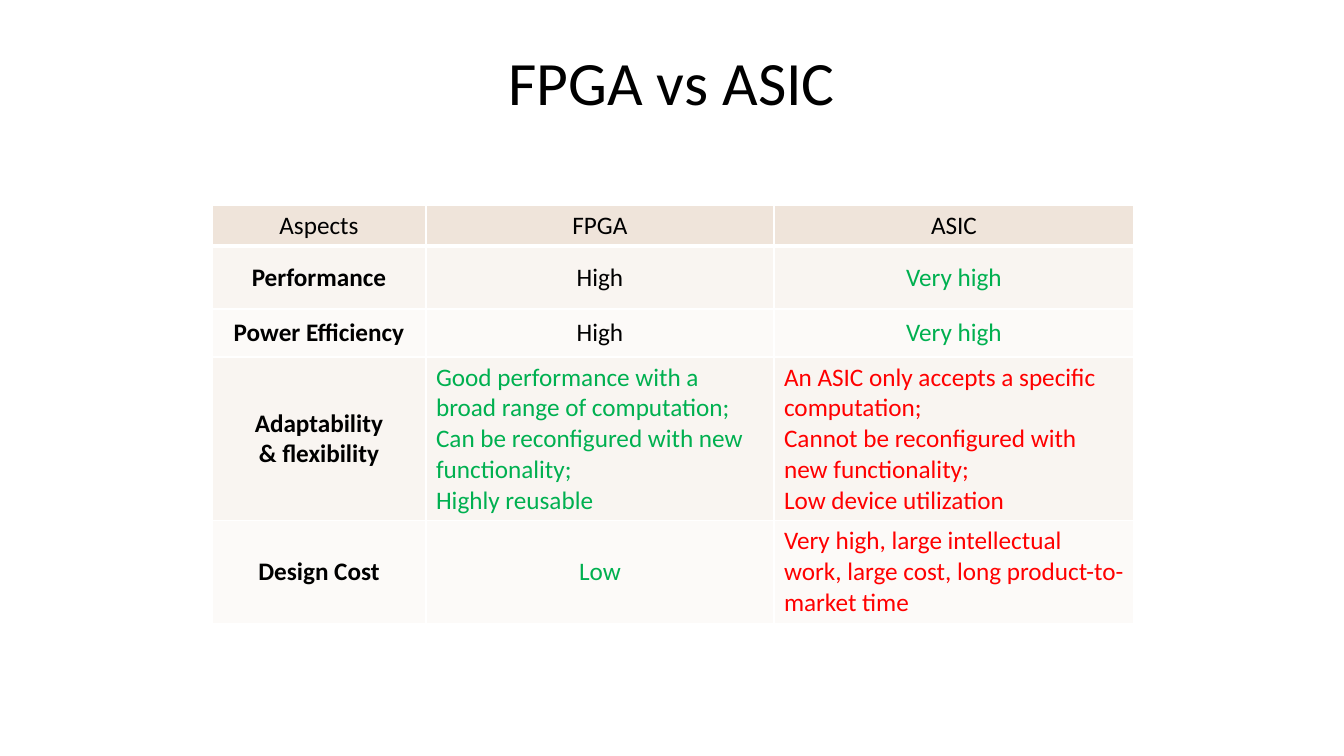
from pptx import Presentation
from pptx.dml.color import RGBColor
from pptx.enum.text import MSO_ANCHOR, PP_ALIGN
from pptx.oxml import parse_xml
from pptx.oxml.ns import nsdecls
from pptx.util import Emu, Pt

PX = 914400 / 100.8
FONT = "Calibri"
COLORS = {
    "black": "000000",
    "white": "FFFFFF",
    "green": "00B050",
    "red": "FF0000",
    "header": "EFE4DA",
    "odd": "F9F5F1",
    "even": "FCFAF8",
}


def px(length):
    return Emu(round(length * PX))


def add_span(para, text, size, color, bold=False):
    span = para.add_run()
    span.text = text
    span.font.name = FONT
    span.font.size = Pt(size)
    span.font.bold = bold
    span.font.color.rgb = RGBColor.from_string(COLORS[color])


deck = Presentation()
deck.slide_width, deck.slide_height = px(1344), px(756)
page = deck.slides.add_slide(deck.slide_layouts[5])

# Title
title = page.shapes.title
title.left, title.top, title.width, title.height = px(67), px(30), px(1210), px(102)
title.text_frame.vertical_anchor = MSO_ANCHOR.MIDDLE
title_para = title.text_frame.paragraphs[0]
title_para.alignment = PP_ALIGN.CENTER
add_span(title_para, "FPGA vs ASIC", 44, "black")

# Comparison content: (color, paragraphs) for each cell
rows = [
    [("black", ["Aspects"]), ("black", ["FPGA"]), ("black", ["ASIC"])],
    [("black", ["Performance"]), ("black", ["High"]), ("green", ["Very high"])],
    [("black", ["Power Efficiency"]), ("black", ["High"]), ("green", ["Very high"])],
    [
        ("black", ["Adaptability", "& flexibility"]),
        ("green", ["Good performance with a broad range of computation;",
                   "Can be reconfigured with new functionality;",
                   "Highly reusable"]),
        ("red", ["An ASIC only accepts a specific computation;",
                 "Cannot be reconfigured with new functionality;",
                 "Low device utilization"]),
    ],
    [
        ("black", ["Design Cost"]),
        ("green", ["Low"]),
        ("red", ["Very high, large intellectual work, large cost, "
                 "long product-to-market time"]),
    ],
]
left_aligned = {(3, 1), (3, 2), (4, 2)}
column_widths = [214, 348, 360]
row_heights = [41, 63, 48, 163, 102]

# Table
table = page.shapes.add_table(
    len(rows), len(column_widths), px(212), px(205),
    px(sum(column_widths)), px(sum(row_heights)),
).table
for column, width in zip(table.columns, column_widths):
    column.width = px(width)
for row, height in zip(table.rows, row_heights):
    row.height = px(height)

for row_index, row in enumerate(rows):
    is_header = row_index == 0
    fill = "header" if is_header else "odd" if row_index % 2 else "even"
    for column_index, (color, lines) in enumerate(row):
        cell = table.cell(row_index, column_index)
        cell.vertical_anchor = MSO_ANCHOR.MIDDLE
        frame = cell.text_frame
        for line_index, line in enumerate(lines):
            para = frame.add_paragraph() if line_index else frame.paragraphs[0]
            is_left = (row_index, column_index) in left_aligned
            para.alignment = PP_ALIGN.LEFT if is_left else PP_ALIGN.CENTER
            is_label = column_index == 0 and not is_header
            add_span(para, line, 18, color, is_label)

        # White borders go before the fill in the cell properties
        properties = cell._tc.get_or_add_tcPr()
        for side in ("lnL", "lnR", "lnT", "lnB"):
            width = Pt(3 if is_header and side == "lnB" else 1)
            properties.append(parse_xml(
                f'<a:{side} {nsdecls("a")} w="{width}"><a:solidFill>'
                f'<a:srgbClr val="{COLORS["white"]}"/></a:solidFill></a:{side}>'
            ))
        cell.fill.solid()
        cell.fill.fore_color.rgb = RGBColor.from_string(COLORS[fill])

deck.save("out.pptx")
